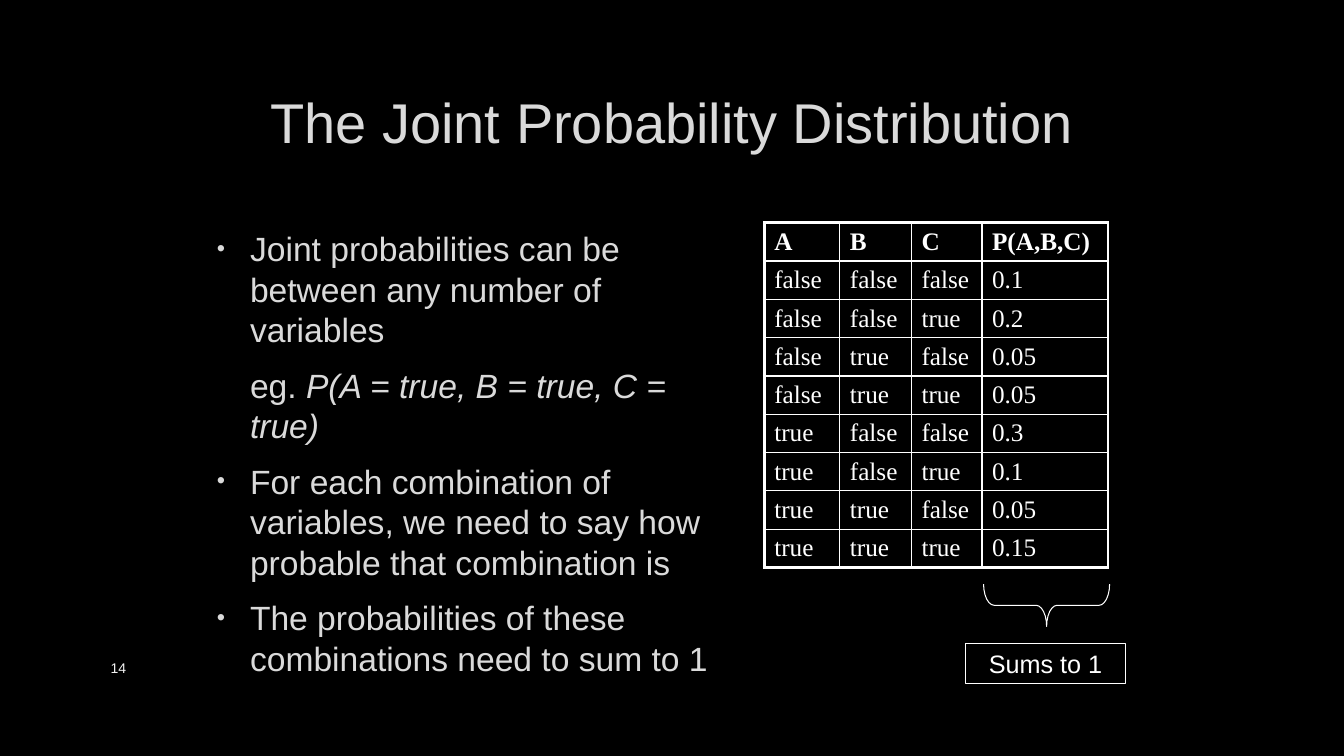
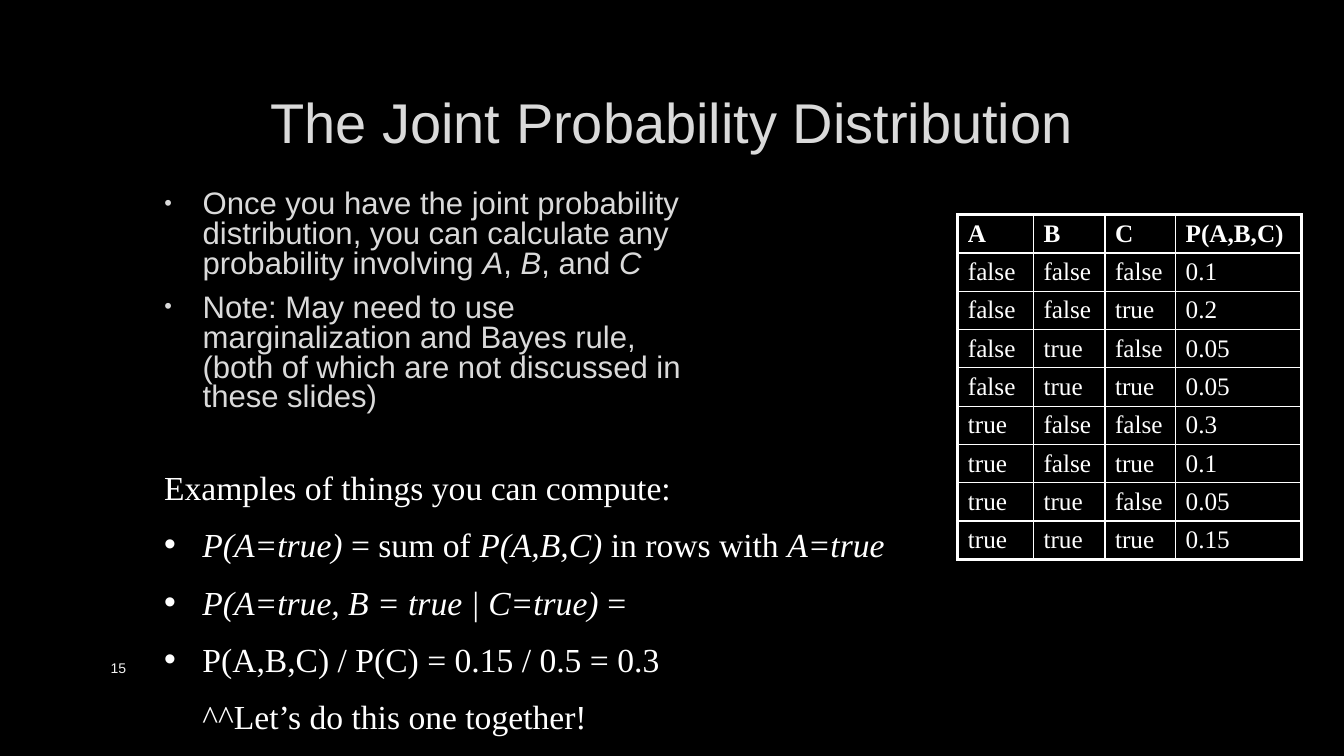
"""Build two slides on the joint probability distribution."""
import itertools

import lxml.etree
import pptx
import pptx.dml.color
import pptx.enum.shapes
import pptx.enum.text
import pptx.oxml.ns
import pptx.util

Inches = pptx.util.Inches
Pt = pptx.util.Pt
Align = pptx.enum.text.PP_ALIGN
Anchor = pptx.enum.text.MSO_ANCHOR
Shape = pptx.enum.shapes.MSO_SHAPE

COLORS = {"back": "000000", "text": "DADADA", "page": "F2F2F2", "white": "FFFFFF"}
SANS, SERIF = "Arial", "Times New Roman"
TITLE = "The Joint Probability Distribution"
CHANCES = ["0.1", "0.2", "0.05", "0.05", "0.3", "0.1", "0.05", "0.15"]
ROWS = [["A", "B", "C", "P(A,B,C)"]] + [
    [*combo, chance]
    for combo, chance in zip(itertools.product(["false", "true"], repeat=3), CHANCES)
]
WIDTHS = [0.75, 0.71, 0.7, 1.25]
HIGH = 0.38


def color(name):
    return pptx.dml.color.RGBColor.from_string(COLORS[name])


def add(parent, tag, **attrs):
    return lxml.etree.SubElement(parent, pptx.oxml.ns.qn("a:" + tag), attrs)


class Deck:
    def __init__(self):
        self.prs = pptx.Presentation()
        self.prs.slide_width = Inches(13.33)
        self.prs.slide_height = Inches(7.5)
        fill = self.prs.slide_master.background.fill
        fill.solid()
        fill.fore_color.rgb = color("back")
        self.slide = None

    def place(self, shape, box):
        shape.left, shape.top, shape.width, shape.height = map(Inches, box)
        frame = shape.text_frame
        frame.word_wrap = True
        frame.auto_size = pptx.enum.text.MSO_AUTO_SIZE.NONE
        return frame

    def style(self, para, size, tint, face=SANS, bold=False):
        for run in para.runs:
            run.font.size = Pt(size)
            run.font.name = face
            run.font.bold = bold
            run.font.color.rgb = color(tint)

    def page(self, number):
        self.slide = self.prs.slides.add_slide(self.prs.slide_layouts[1])
        frame = self.place(self.slide.shapes.title, (1, 0.67, 11.32, 1.06))
        frame.text = TITLE
        frame.vertical_anchor = Anchor.MIDDLE
        frame.paragraphs[0].alignment = Align.CENTER
        self.style(frame.paragraphs[0], 40, "text")
        frame = self.place(self.slide.shapes.add_textbox(0, 0, 0, 0), (1, 6.43, 7.3, 0.4))
        frame.text = str(number)
        frame.vertical_anchor = Anchor.MIDDLE
        self.style(frame.paragraphs[0], 10, "page")

    def fill(self, frame, items, size, pitch, gaps, hang, tint, face, dot):
        frame.vertical_anchor = Anchor.TOP
        for i, (kind, text) in enumerate(items):
            para = frame.add_paragraph() if i else frame.paragraphs[0]
            for j, part in enumerate(text.split("*")):
                if part:
                    run = para.add_run()
                    run.text = part
                    run.font.italic = j % 2 == 1
            self.style(para, size, tint, face)
            para.line_spacing = Pt(pitch)
            para.space_before, para.space_after = map(Pt, gaps)
            props = para._p.get_or_add_pPr()
            props.set("marL", str(Inches(0 if kind == "flat" else 0.38)))
            props.set("indent", str(Inches(-hang if kind == "dot" else 0)))
            if kind == "dot":
                add(add(props, "buClr"), "srgbClr", val=COLORS[tint])
                add(props, "buSzPct", val=str(dot * 1000))
                add(props, "buFont", typeface=SANS)
                add(props, "buChar", char="•")
            else:
                add(props, "buNone")

    def body(self, box, items, size, pitch, hang):
        frame = self.place(self.slide.placeholders[1], box)
        self.fill(frame, items, size, pitch, (size * 0.2, 6), hang, "text", SANS, 70)

    def notes(self, box, items):
        frame = self.place(self.slide.shapes.add_textbox(0, 0, 0, 0), box)
        self.fill(frame, items, 24, 27.6, (13.3, 0), 0.38, "white", SERIF, 100)

    def edges(self, cell, row, col):
        props = cell._tc.get_or_add_tcPr()
        outer = [
            ("lnL", col == 0),
            ("lnR", col == len(WIDTHS) - 1),
            ("lnT", row == 0),
            ("lnB", row == len(ROWS) - 1),
        ]
        for i, (tag, thick) in enumerate(outer):
            line = add(props, tag, w=str(Pt(2.25 if thick else 1)))
            add(add(line, "solidFill"), "srgbClr", val=COLORS["white"])
            props.insert(i, line)

    def table(self, left, top):
        size = map(Inches, (left, top, sum(WIDTHS), HIGH * len(ROWS)))
        grid = self.slide.shapes.add_table(len(ROWS), len(WIDTHS), *size).table
        grid.first_row = grid.horz_banding = False
        for col, width in zip(grid.columns, WIDTHS):
            col.width = Inches(width)
        for r, row in enumerate(ROWS):
            grid.rows[r].height = Inches(HIGH)
            for c, text in enumerate(row):
                cell = grid.cell(r, c)
                cell.text = text
                cell.fill.background()
                para = cell.text_frame.paragraphs[0]
                para.line_spacing = Pt(20)
                self.style(para, 18, "white", SERIF, r == 0)
                self.edges(cell, r, c)

    def shape(self, kind, box):
        item = self.slide.shapes.add_shape(kind, *map(Inches, box))
        item.shadow.inherit = False
        item.fill.background()
        item.line.color.rgb = color("white")
        item.line.width = Pt(0.75)
        return item

    def brace(self, box):
        item = self.shape(Shape.RIGHT_BRACE, box)
        item.rotation = 90
        item.adjustments[0] = 0.25
        item.adjustments[1] = 0.5

    def label(self, box, text):
        frame = self.place(self.shape(Shape.RECTANGLE, box), box)
        frame.text = text
        frame.vertical_anchor = Anchor.MIDDLE
        frame.paragraphs[0].alignment = Align.CENTER
        self.style(frame.paragraphs[0], 18, "white")


def main():
    deck = Deck()

    deck.page(14)
    deck.body((2, 2.21, 5.33, 3.58), [
        ("dot", "Joint probabilities can be between any number of variables"),
        ("plain", "eg. *P(A = true, B = true, C = true)*"),
        ("dot", "For each combination of variables, we need to say how probable "
                "that combination is"),
        ("dot", "The probabilities of these combinations need to sum to 1"),
    ], 24, 28.9, 0.33)
    deck.table(7.58, 2.21)
    deck.brace((10.17, 5.38, 0.42, 1.25))
    deck.label((9.58, 6.38, 1.58, 0.4), "Sums to 1")

    deck.page(15)
    deck.body((1.53, 1.85, 5.33, 2.5), [
        ("dot", "Once you have the joint probability distribution, you can calculate "
                "any probability involving *A*, *B*, and *C*"),
        ("dot", "Note: May need to use marginalization and Bayes rule, (both of which "
                "are not discussed in these slides)"),
    ], 22.2, 21.2, 0.38)
    deck.table(9.5, 2.13)
    deck.notes((1.53, 4.6, 7.5, 2.93), [
        ("flat", "Examples of things you can compute:"),
        ("dot", "*P(A=true)* = sum of *P(A,B,C)* in rows with *A=true*"),
        ("dot", "*P(A=true, B = true | C=true)* ="),
        ("dot", "P(A,B,C) / P(C) = 0.15 / 0.5 = 0.3"),
        ("plain", "^^Let’s do this one together!"),
    ])

    deck.prs.save("out.pptx")


if __name__ == "__main__":
    main()
